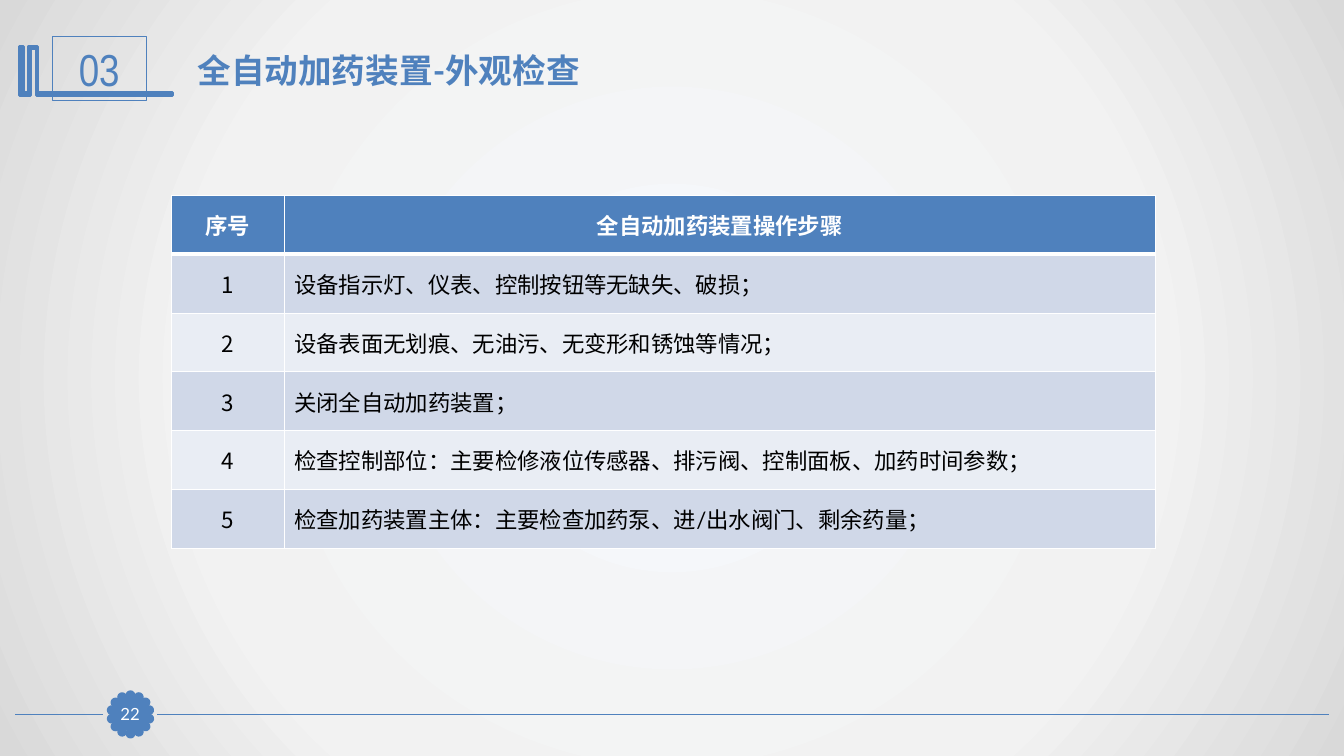
import math

from pptx import Presentation
from pptx.dml.color import RGBColor
from pptx.enum import shapes, text
from pptx.oxml import parse_xml
from pptx.oxml.ns import nsdecls, qn
from pptx.util import Pt

BLUE, WHITE, BLACK = "4F81BD", "FFFFFF", "000000"
BANDS = ("D0D8E8", "E9EDF4")
LATIN, CHINESE, NARROW = "Lato", "Noto Sans CJK SC", "Arial Narrow"
CENTER, LEFT = text.PP_ALIGN.CENTER, text.PP_ALIGN.LEFT

HEADER = ("序号", "全自动加药装置操作步骤")
STEPS = (
    "设备指示灯、仪表、控制按钮等无缺失、破损；",
    "设备表面无划痕、无油污、无变形和锈蚀等情况；",
    "关闭全自动加药装置；",
    "检查控制部位：主要检修液位传感器、排污阀、控制面板、加药时间参数；",
    "检查加药装置主体：主要检查加药泵、进/出水阀门、剩余药量；",
)
EMBLEM = (
    (26.6, 33.1), (27.4, 33.1), (27.4, 66.2), (123.1, 66.2),
    (123.1, 67.7), (25.9, 67.7), (25.9, 34.6), (22.3, 34.6),
    (22.3, 67.7), (13.7, 67.7), (13.7, 33.1), (16.6, 33.1),
    (16.6, 65.5), (20.2, 65.5), (20.2, 33.1),
)
PETALS, PETAL_SIZE, RING_RADIUS = 14, 5, 13.7
BADGE_X, BADGE_Y = 93.2, 510.3


def color(value):
    return RGBColor.from_string(value)


class SlideBuilder:
    """Holds the style and the current page; all lengths are in points."""

    def __init__(self, page):
        self.page = page

    def background(self, stops):
        """Fill the page with a gradient running out from the centre."""
        self.page.background.fill.solid()
        solid = self.page.element.find(".//" + qn("a:solidFill"))
        marks = "".join(
            f'<a:gs pos="{percent * 1000}"><a:srgbClr val="{value}"/></a:gs>'
            for percent, value in stops
        )
        gradient = parse_xml(
            f'<a:gradFill {nsdecls("a")} rotWithShape="1"><a:gsLst>{marks}</a:gsLst>'
            '<a:path path="circle"><a:fillToRect l="50000" t="50000" '
            'r="50000" b="50000"/></a:path></a:gradFill>'
        )
        solid.getparent().replace(solid, gradient)

    def set_text(self, frame, words, size, value, font=LATIN, bold=False, align=CENTER):
        frame.text = words
        frame.word_wrap = True
        for para in frame.paragraphs:
            para.alignment = align
            for span in para.runs:
                span.font.size = Pt(size)
                span.font.name = font
                span.font.bold = bold
                span.font.color.rgb = color(value)
                span.font._element.find(qn("a:latin")).addnext(
                    parse_xml(f'<a:ea {nsdecls("a")} typeface="{CHINESE}"/>')
                )

    def paint(self, shape, fill, width):
        shape.shadow.inherit = False
        if fill:
            shape.fill.solid()
            shape.fill.fore_color.rgb = color(fill)
        else:
            shape.fill.background()
        shape.line.color.rgb = color(BLUE)
        shape.line.width = Pt(width)

    def title(self, words, left, top, width, height):
        box = self.page.shapes.title
        box.left, box.top, box.width, box.height = map(Pt, (left, top, width, height))
        self.set_text(box.text_frame, words, 24, BLUE, bold=True, align=LEFT)
        box.text_frame.vertical_anchor = text.MSO_ANCHOR.TOP
        box.text_frame.auto_size = text.MSO_AUTO_SIZE.SHAPE_TO_FIT_TEXT

    def line(self, start, end, y):
        rule = self.page.shapes.add_connector(
            shapes.MSO_CONNECTOR.STRAIGHT, Pt(start), Pt(y), Pt(end), Pt(y)
        )
        rule.line.color.rgb = color(BLUE)
        rule.line.width = Pt(1.25)
        rule._element.spPr.append(parse_xml(f'<a:effectLst {nsdecls("a")}/>'))

    def shape(self, kind, left, top, width, height, fill=None, border=0.75):
        item = self.page.shapes.add_shape(kind, Pt(left), Pt(top), Pt(width), Pt(height))
        self.paint(item, fill, border)
        return item

    def outline(self, points):
        builder = self.page.shapes.build_freeform(*points[0], scale=Pt(1))
        builder.add_line_segments(points[1:], close=True)
        self.paint(builder.convert_to_shape(), BLUE, 2)

    def petal_ring(self):
        """Draw equal circles around the page number."""
        for index in range(PETALS):
            angle = 2 * math.pi * index / PETALS
            x = BADGE_X + RING_RADIUS * math.sin(angle) - PETAL_SIZE / 2
            y = BADGE_Y - RING_RADIUS * math.cos(angle) - PETAL_SIZE / 2
            petal = self.shape(
                shapes.MSO_SHAPE.OVAL, x, y, PETAL_SIZE, PETAL_SIZE, BLUE, 2
            )
            petal.rotation = 360 * index / PETALS

    def label(self, words, left, top, width, height, size, font, fill=None, inset=None):
        box = self.shape(shapes.MSO_SHAPE.RECTANGLE, left, top, width, height, fill)
        frame = box.text_frame
        self.set_text(frame, words, size, WHITE if fill else BLUE, font)
        frame.vertical_anchor = text.MSO_ANCHOR.MIDDLE
        if inset is not None:
            frame.margin_left = frame.margin_right = Pt(inset)
            frame.margin_top = frame.margin_bottom = Pt(inset)

    def cell(self, cell, words, fill, top=1, bottom=1, **style):
        properties = cell._tc.get_or_add_tcPr()
        for side, width in zip("LRTB", (1, 1, top, bottom)):
            properties.append(parse_xml(
                f'<a:ln{side} {nsdecls("a")} w="{Pt(width)}"><a:solidFill>'
                f'<a:srgbClr val="{WHITE}"/></a:solidFill></a:ln{side}>'
            ))
        cell.fill.solid()
        cell.fill.fore_color.rgb = color(fill)
        cell.vertical_anchor = text.MSO_ANCHOR.MIDDLE
        self.set_text(cell.text_frame, words, 16, **style)

    def table(self, left, top, widths, row_height):
        count = len(STEPS) + 1
        grid = self.page.shapes.add_table(
            count, len(widths), Pt(left), Pt(top), Pt(sum(widths)), Pt(row_height * count)
        ).table
        for column, width in zip(grid.columns, widths):
            column.width = Pt(width)
        for row in grid.rows:
            row.height = Pt(row_height)
        for column, words in enumerate(HEADER):
            self.cell(grid.cell(0, column), words, BLUE, bottom=3, value=WHITE, bold=True)
        for number, step in enumerate(STEPS, 1):
            band = BANDS[(number - 1) % 2]
            edge = 3 if number == 1 else 1
            self.cell(grid.cell(number, 0), str(number), band, edge,
                      value=BLACK, font=CHINESE)
            self.cell(grid.cell(number, 1), step, band, edge, value=BLACK, align=LEFT)


def main():
    deck = Presentation()
    deck.slide_width, deck.slide_height = Pt(960), Pt(540)
    builder = SlideBuilder(deck.slides.add_slide(deck.slide_layouts[5]))
    builder.background(((0, "F6F9FC"), (63, "F2F2F2"), (100, "D9D9D9")))
    builder.line(949, 112.3, BADGE_Y)
    builder.line(73.4, 10.8, BADGE_Y)
    builder.petal_ring()
    builder.outline(EMBLEM)
    builder.label("03", 37.4, 25.9, 67, 46, 32, NARROW)
    builder.label("22", 81.4, 499, 23, 22.3, 12, LATIN, BLUE, inset=0)
    builder.title("全自动加药装置-外观检查", 133.9, 31.7, 697.7, 36)
    builder.table(122.4, 139.7, (80.6, 622.4), 42)
    deck.save("out.pptx")


if __name__ == "__main__":
    main()
